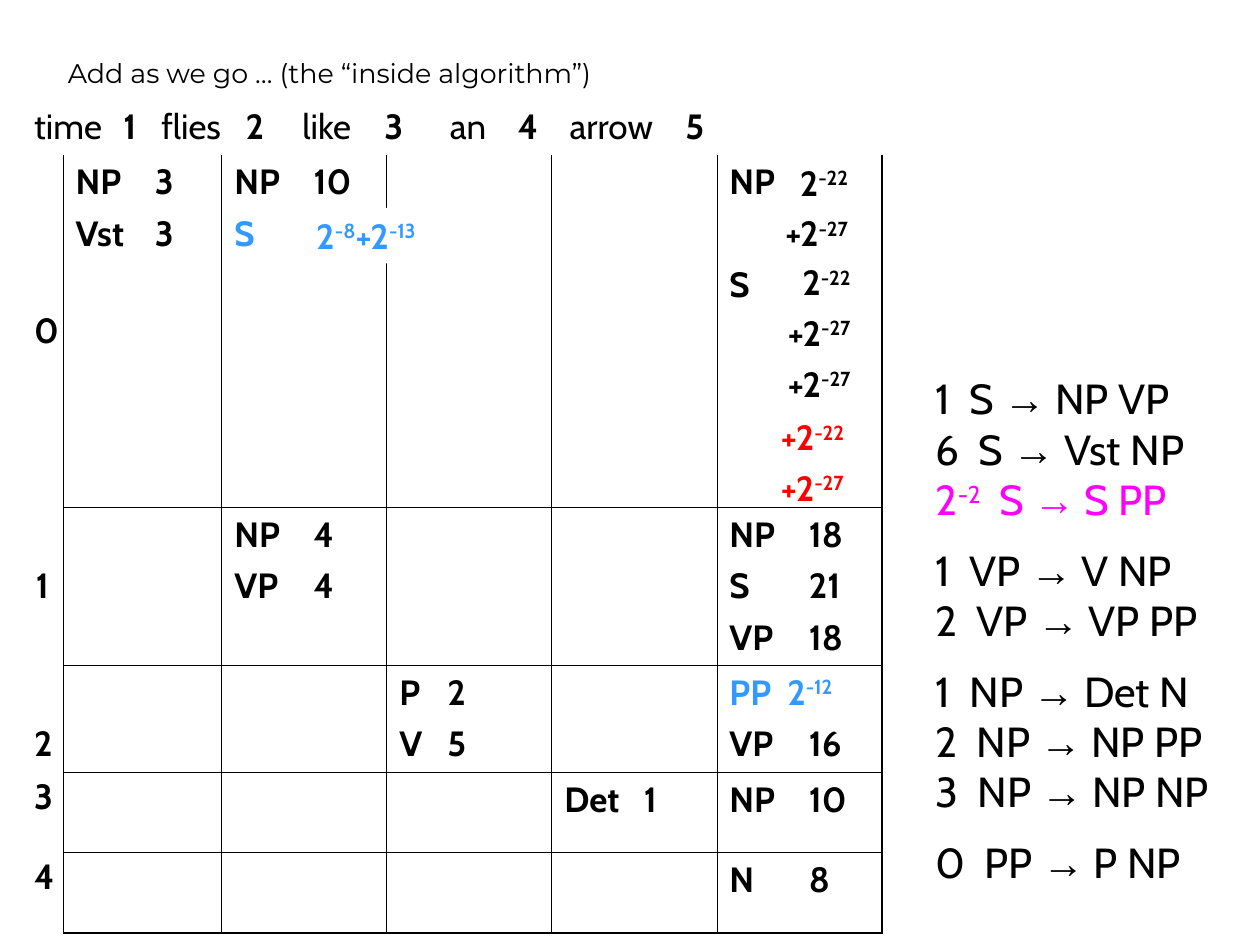
from dataclasses import dataclass
from typing import Optional

import lxml.etree
import pptx
import pptx.dml.color
import pptx.enum.shapes
import pptx.enum.text
import pptx.oxml
import pptx.oxml.ns
import pptx.util

SLIDE_W, SLIDE_H = 10, 7.5
BLACK, BLUE, RED, PINK, WHITE = "000000", "3399FF", "FF0000", "FF00FF", "FFFFFF"
ALIGN = pptx.enum.text.PP_ALIGN
ANCHOR = pptx.enum.text.MSO_ANCHOR
THIN, THICK = 0.45, 1.08

COLS = (3.3, 12.6, 13.1, 13.1, 13.1, 13.1)
ROWS = (5.8, 37.3, 16.5, 11.2, 8.5, 8.5)


@dataclass
class Area:
    left: float
    top: float
    width: float
    height: float


@dataclass
class Line:
    text: str
    color: str = BLACK
    before: float = 5
    spacing: Optional[float] = None
    tab: float = 0.63


@dataclass
class Label:
    text: str
    anchor: ANCHOR
    spacing: Optional[float] = None


@dataclass
class Note:
    area: Area
    lines: list[Line]
    align: ALIGN


HEADER = ("time", "1", "flies", "2", "like", "3", "an", "4", "arrow", "5")
HEADER_TABS = (0.71, 1.01, 1.68, 2.13, 2.78, 3.3, 3.84, 4.25, 5.17)

LABELS = [
    Label("0", ANCHOR.MIDDLE),
    Label("1", ANCHOR.MIDDLE),
    Label("2", ANCHOR.BOTTOM),
    Label("3", ANCHOR.TOP, 0.9),
    Label("4", ANCHOR.TOP, 0.9),
]

CHART = {
    (1, 1): [Line("NP\t3"), Line("Vst\t3")],
    (1, 2): [Line("NP\t10"), Line("S", BLUE)],
    (1, 5): [Line("NP"), Line("S", before=34.4)],
    (2, 2): [Line("NP\t4"), Line("VP\t4")],
    (2, 5): [Line("NP\t18"), Line("S\t21"), Line("VP\t18")],
    (3, 3): [Line("P\t2", tab=0.38), Line("V\t5", tab=0.38)],
    (3, 5): [Line("PP\t2|-12", BLUE, tab=0.46), Line("VP\t16")],
    (4, 4): [Line("Det\t1")],
    (4, 5): [Line("NP\t10")],
    (5, 5): [Line("N\t8")],
}

GRAMMAR = [
    Line("1  S → NP VP"),
    Line("6  S → Vst NP"),
    Line("2|-2|  S → S PP", PINK),
    Line("1  VP → V NP", spacing=1.4),
    Line("2  VP → VP PP"),
    Line("1  NP → Det N", spacing=1.4),
    Line("2  NP → NP PP"),
    Line("3  NP → NP NP"),
    Line("0  PP → P NP", spacing=1.4),
]

NOTES = [
    Note(Area(61, 43.33, 9, 11.2), [Line("+2|-22", RED), Line("+2|-27", RED)], ALIGN.LEFT),
    Note(Area(59.3, 16.4, 9, 11.2), [Line("2|-22"), Line("+2|-27")], ALIGN.RIGHT),
    Note(Area(60.2, 26.93, 8.3, 16.53),
         [Line("2|-22"), Line("+2|-27"), Line("+2|-27")], ALIGN.RIGHT),
]


def across(share: float) -> int:
    return pptx.util.Inches(SLIDE_W * share / 100)


def down(share: float) -> int:
    return pptx.util.Inches(SLIDE_H * share / 100)


def place(area: Area) -> tuple[int, int, int, int]:
    return across(area.left), down(area.top), across(area.width), down(area.height)


def rgb(color: str) -> pptx.dml.color.RGBColor:
    return pptx.dml.color.RGBColor.from_string(color)


def add_text(p, text: str, *, size=20, font="Cabin", color=BLACK, bold=False) -> None:
    for i, part in enumerate(text.split("|")):
        before, arrow, after = part.partition("→")
        for piece, face in ((before, font), (arrow, "Arial"), (after, font)):
            if not piece:
                continue
            r = p.add_run()
            r.text = piece
            r.font.size = pptx.util.Pt(size)
            r.font.name = face
            r.font.bold = bold
            r.font.color.rgb = rgb(color)
            if i % 2:
                r.font._element.set("baseline", "30000")


def add_tabs(p, stops) -> None:
    tabs = lxml.etree.SubElement(p._p.get_or_add_pPr(), pptx.oxml.ns.qn("a:tabLst"))
    for stop in stops:
        lxml.etree.SubElement(tabs, pptx.oxml.ns.qn("a:tab"),
                              pos=str(pptx.util.Inches(stop)), algn="l")


def write_lines(tf, lines: list[Line], *, align=ALIGN.LEFT, spaced=True, **style) -> None:
    for i, line in enumerate(lines):
        p = tf.add_paragraph() if i else tf.paragraphs[0]
        p.alignment = align
        if line.spacing:
            p.line_spacing = line.spacing
        if i and spaced:
            p.space_before = pptx.util.Pt(line.before)
        if "\t" in line.text:
            add_tabs(p, [line.tab])
        add_text(p, line.text, color=line.color, **style)


def set_borders(cell, widths: dict[str, float]) -> None:
    tcPr = cell._tc.get_or_add_tcPr()
    for i, side in enumerate(("L", "R", "T", "B")):
        width = widths.get(side, 0)
        fill = (f'<a:solidFill><a:srgbClr val="{BLACK}"/></a:solidFill>'
                if width else "<a:noFill/>")
        tcPr.insert(i, pptx.oxml.parse_xml(
            f'<a:ln{side} {pptx.oxml.ns.nsdecls("a")} w="{pptx.util.Pt(width)}">'
            f"{fill}</a:ln{side}>"))


def cell_borders(row: int, col: int) -> dict[str, float]:
    if row == 0:
        return {}
    if col == 0:
        return {"R": THIN}
    widths = {"L": THIN,
              "R": THICK if col == len(COLS) - 1 else THIN,
              "B": THICK if row == len(ROWS) - 1 else THIN}
    if row > 1:
        widths["T"] = THIN
    return widths


def add_parse_table(s) -> None:
    area = Area(1.7, 10.53, sum(COLS), sum(ROWS))
    table = s.shapes.add_table(len(ROWS), len(COLS), *place(area)).table
    table.first_row = table.horz_banding = False
    for column, share in zip(table.columns, COLS):
        column.width = across(share)
    for row, share in zip(table.rows, ROWS):
        row.height = down(share)
    for r in range(len(ROWS)):
        for c in range(len(COLS)):
            cell = table.cell(r, c)
            cell.fill.background()
            set_borders(cell, cell_borders(r, c))
            write_lines(cell.text_frame, CHART.get((r, c), []), bold=True)

    table.cell(0, 0).merge(table.cell(0, len(COLS) - 1))
    p = table.cell(0, 0).text_frame.paragraphs[0]
    add_tabs(p, HEADER_TABS)
    for i, word in enumerate(HEADER):
        add_text(p, "\t" + word if i else word, bold=i % 2 == 1)

    for r, label in enumerate(LABELS, 1):
        cell = table.cell(r, 0)
        cell.vertical_anchor = label.anchor
        write_lines(cell.text_frame, [Line(label.text, spacing=label.spacing)],
                    align=ALIGN.CENTER, bold=True)


def add_box(s, area: Area, lines: list[Line], *, anchor=ANCHOR.TOP, **style) -> None:
    tf = s.shapes.add_textbox(*place(area)).text_frame
    tf.word_wrap = True
    tf.vertical_anchor = anchor
    write_lines(tf, lines, **style)


def add_sum_patch(s) -> None:
    sp = s.shapes.add_shape(pptx.enum.shapes.MSO_SHAPE.RECTANGLE,
                            *place(Area(23.7, 22, 12, 5.87)))
    sp.shadow.inherit = False
    sp.fill.solid()
    sp.fill.fore_color.rgb = rgb(WHITE)
    sp.line.fill.background()
    tf = sp.text_frame
    tf.word_wrap = False
    tf.vertical_anchor = ANCHOR.TOP
    tf.margin_left = across(1.4)
    write_lines(tf, [Line("2|-8|+2|-13", BLUE)], bold=True)


def main() -> None:
    prs = pptx.Presentation()
    prs.slide_width, prs.slide_height = across(100), down(100)
    s = prs.slides.add_slide(prs.slide_layouts[6])
    add_parse_table(s)
    add_box(s, Area(73.3, 38.8, 26.7, 55.73), GRAMMAR, spaced=False, size=24)
    add_box(s, Area(4.4, 0.8, 91.4, 9.2),
            [Line("Add as we go … (the “inside algorithm”)", spacing=0.8)],
            anchor=ANCHOR.BOTTOM, size=15.4, font="Montserrat")
    add_sum_patch(s)
    for note in NOTES:
        add_box(s, note.area, note.lines, align=note.align, bold=True)
    prs.save("out.pptx")


if __name__ == "__main__":
    main()
